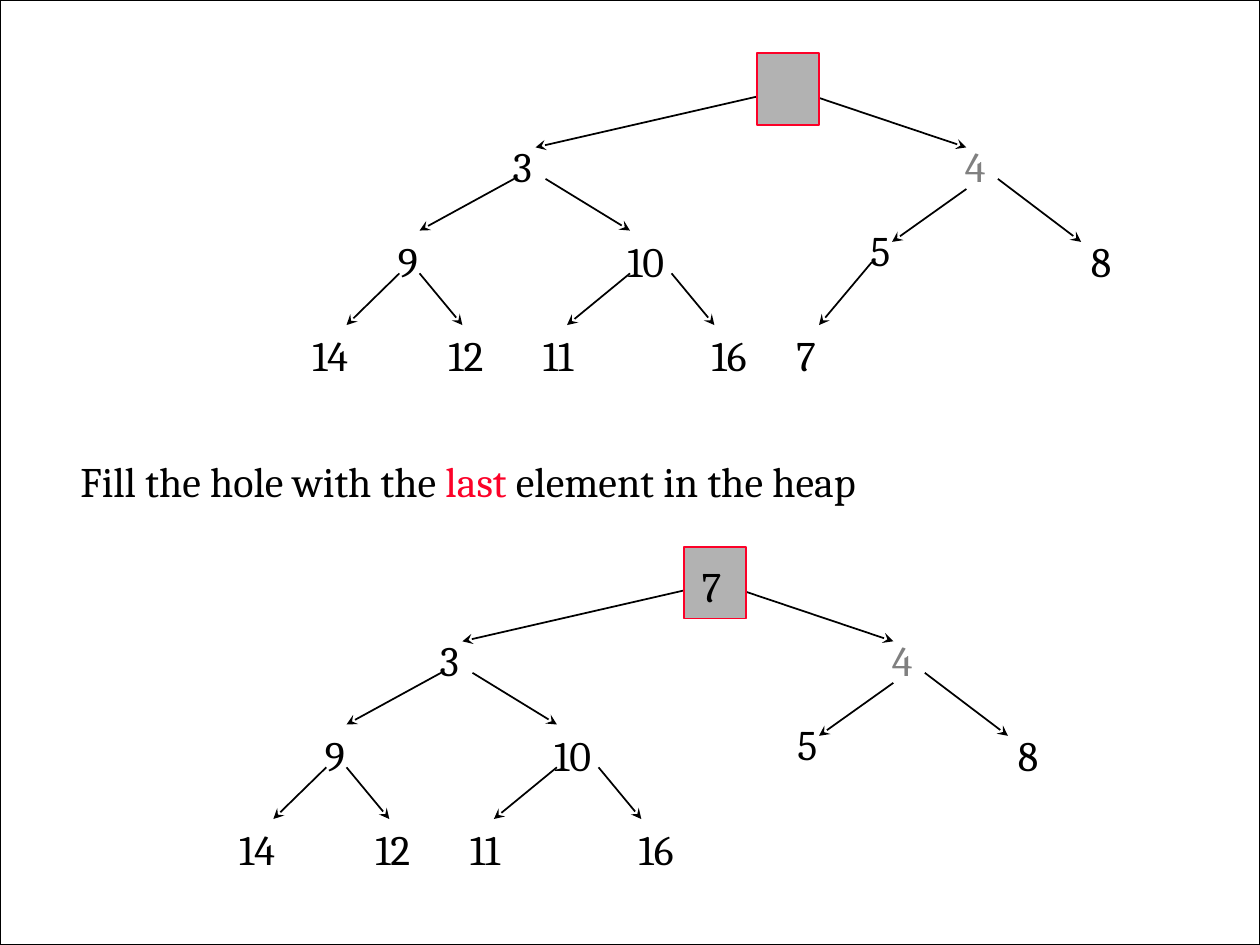
from pptx import Presentation
from pptx.dml.color import RGBColor
from pptx.enum.shapes import MSO_CONNECTOR as Connector, MSO_SHAPE as Shape
from pptx.enum.text import MSO_AUTO_SIZE as AutoSize
from pptx.oxml.ns import qn
from pptx.util import Inches, Pt
from lxml.etree import SubElement

COLORS = {"black": "000000", "white": "FFFFFF", "gray": "808080",
          "hole": "B2B2B2", "red": "FC0128"}
FONT = "Cambria"
FONT_SIZE = 24
TEXT_HEIGHT = 0.5
LABEL_WIDTHS = {1: 0.39, 2: 0.58}

NODES = [
    ("3", 3.97, 1.07, "black"),
    ("5", 6.81, 1.73, "black"),
    ("9", 3.06, 1.82, "black"),
    ("10", 4.88, 1.82, "black"),
    ("8", 8.56, 1.82, "black"),
    ("14", 2.38, 2.57, "black"),
    ("12", 3.46, 2.57, "black"),
    ("11", 4.21, 2.57, "black"),
    ("16", 5.55, 2.57, "black"),
    ("4", 7.56, 1.07, "gray"),
]
EDGES = [
    (6.08, 0.75, 4.25, 1.17),
    (6.42, 0.75, 7.67, 1.17),
    (4.08, 1.42, 3.33, 1.83),
    (4.33, 1.42, 5, 1.83),
    (3.17, 2.17, 2.75, 2.58),
    (3.33, 2.17, 3.67, 2.58),
    (5, 2.17, 4.5, 2.58),
    (5.33, 2.17, 5.67, 2.58),
    (7.67, 1.5, 7.08, 1.92),
    (7.92, 1.42, 8.58, 1.92),
]
ROOT = (6.01, 0.42, 0.49, 0.57)
LAST_NODE = ("7", 6.22, 2.57, "black")
LAST_EDGE = (6.92, 2.08, 6.5, 2.58)
FILLED_ROOT = ("7", 6.05, 0.48, "black")
FILLED_OFFSET = (-0.58, 3.92)
CAPTION = [("Fill the hole with the ", "black"), ("last", "red"),
           (" element in the heap", "black")]


def rgb(name):
    return RGBColor.from_string(COLORS[name])


def add_text(shapes, runs, left, top, width):
    box = shapes.add_textbox(Inches(left), Inches(top), Inches(width), Inches(TEXT_HEIGHT))
    frame = box.text_frame
    frame.word_wrap = False
    frame.auto_size = AutoSize.SHAPE_TO_FIT_TEXT
    for text, color in runs:
        run = frame.paragraphs[0].add_run()
        run.text = text
        run.font.name = FONT
        run.font.size = Pt(FONT_SIZE)
        run.font.color.rgb = rgb(color)


def add_node(shapes, node, offset):
    text, left, top, color = node
    add_text(shapes, [(text, color)], left + offset[0], top + offset[1],
             LABEL_WIDTHS[len(text)])


def add_box(shapes, bounds, fill, line, line_width):
    box = shapes.add_shape(Shape.RECTANGLE, *map(Inches, bounds))
    box.shadow.inherit = False
    box.fill.solid()
    box.fill.fore_color.rgb = rgb(fill)
    box.line.color.rgb = rgb(line)
    box.line.width = Pt(line_width)


def add_arrow(shapes, edge, offset):
    points = [Inches(value + offset[i % 2]) for i, value in enumerate(edge)]
    arrow = shapes.add_connector(Connector.STRAIGHT, *points)
    arrow.line.color.rgb = rgb("black")
    arrow.line.width = Pt(1)
    SubElement(arrow.line._get_or_add_ln(), qn("a:tailEnd"), type="stealth")
    SubElement(arrow._element.spPr, qn("a:effectLst"))


def add_heap(shapes, nodes, edges, offset=(0, 0)):
    for node in nodes:
        add_node(shapes, node, offset)
    for edge in edges:
        add_arrow(shapes, edge, offset)
    left, top, width, height = ROOT
    add_box(shapes, (left + offset[0], top + offset[1], width, height), "hole", "red", 1)


def main():
    presentation = Presentation()
    presentation.slide_width = Inches(10)
    presentation.slide_height = Inches(7.5)
    slide = presentation.slides.add_slide(presentation.slide_layouts[6])
    add_box(slide.shapes, (0, 0, 10, 7.5), "white", "black", 0.75)
    group = slide.shapes.add_group_shape()
    add_heap(group.shapes, NODES + [LAST_NODE], EDGES + [LAST_EDGE])
    add_heap(slide.shapes, NODES, EDGES, FILLED_OFFSET)
    add_text(slide.shapes, CAPTION, 0.54, 3.57, 7.37)
    add_node(slide.shapes, FILLED_ROOT, FILLED_OFFSET)
    presentation.save("out.pptx")


if __name__ == "__main__":
    main()
